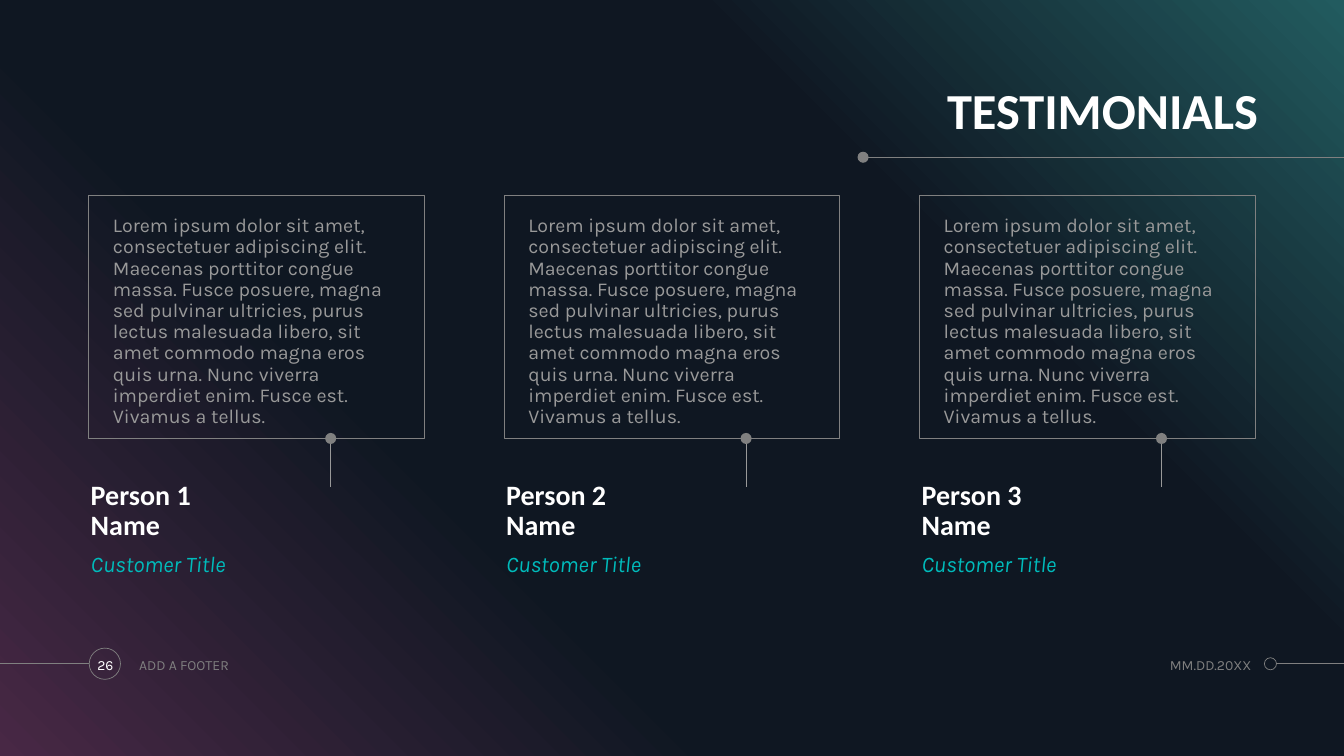
from copy import deepcopy
from dataclasses import dataclass

from pptx import Presentation
from pptx.dml.color import RGBColor
from pptx.enum.shapes import MSO_CONNECTOR, MSO_SHAPE
from pptx.enum.text import MSO_ANCHOR, MSO_AUTO_SIZE, PP_ALIGN
from pptx.oxml.ns import qn
from pptx.util import Inches, Pt
from lxml.etree import SubElement


@dataclass(frozen=True)
class Theme:
    white: str = "FFFFFF"
    gray: str = "808080"
    quote_gray: str = "999999"
    teal: str = "00BBBB"
    gradient: tuple = ((0, "482845"), (34, "0F1722"), (69, "0F1722"), (100, "225B5F"))
    heading_font: str = "Calibri"
    body_font: str = "Karla"
    title_size: int = 36
    name_size: int = 20
    role_size: int = 16
    quote_size: int = 14
    footer_size: int = 10
    thin: float = 0.5
    frame: float = 0.75


THEME = Theme()
WIDTH, HEIGHT = 13.33, 7.5
QUOTE = (
    "Lorem ipsum dolor sit amet, consectetuer adipiscing elit. Maecenas porttitor "
    "congue massa. Fusce posuere, magna sed pulvinar ultricies, purus lectus malesuada "
    "libero, sit amet commodo magna eros quis urna. Nunc viverra imperdiet enim. "
    "Fusce est. Vivamus a tellus."
)
PEOPLE = ["Person 1\nName", "Person 2\nName", "Person 3\nName"]


def write_text(shape, text, *, size, color, font=THEME.body_font, bold=False, italic=False,
               align=PP_ALIGN.LEFT, anchor=MSO_ANCHOR.TOP, spacing=1.0, insets=(0, 0)):
    frame = shape.text_frame
    frame.word_wrap = True
    frame.auto_size = MSO_AUTO_SIZE.NONE
    frame.vertical_anchor = anchor
    frame.margin_left = frame.margin_right = Inches(insets[0])
    frame.margin_top = frame.margin_bottom = Inches(insets[1])
    para = frame.paragraphs[0]
    para.text = text
    para.alignment = align
    para.line_spacing = spacing
    for span in para.runs:
        span.font.name = font
        span.font.size = Pt(size)
        span.font.bold = bold
        span.font.italic = italic
        span.font.color.rgb = RGBColor.from_string(color)


def add_text(page, box, text, **style):
    shape = page.shapes.add_textbox(*map(Inches, box))
    write_text(shape, text, **style)


def add_shape(page, kind, box, fill=None, line=None, weight=THEME.thin):
    shape = page.shapes.add_shape(kind, *map(Inches, box))
    shape.shadow.inherit = False
    if fill:
        shape.fill.solid()
        shape.fill.fore_color.rgb = RGBColor.from_string(fill)
    else:
        shape.fill.background()
    if line:
        shape.line.color.rgb = RGBColor.from_string(line)
        shape.line.width = Pt(weight)
    else:
        shape.line.fill.background()
    return shape


def add_circle(page, center_x, center_y, size, **style):
    box = (center_x - size / 2, center_y - size / 2, size, size)
    return add_shape(page, MSO_SHAPE.OVAL, box, **style)


def add_line(page, start, end, color=THEME.gray):
    line = page.shapes.add_connector(MSO_CONNECTOR.STRAIGHT, *map(Inches, start + end))
    line.line.color.rgb = RGBColor.from_string(color)
    line.line.width = Pt(THEME.thin)
    SubElement(line._element.spPr, qn("a:effectLst"))


def add_backdrop(page, box):
    backdrop = add_shape(page, MSO_SHAPE.RECTANGLE, box)
    backdrop.fill.gradient()
    backdrop.fill.gradient_angle = 45
    # Extend the default two gradient stops to the theme's four
    stops = backdrop._element.spPr.find(qn("a:gradFill")).find(qn("a:gsLst"))
    for _ in THEME.gradient[2:]:
        stops.append(deepcopy(stops[0]))
    for stop, (position, color) in zip(backdrop.fill.gradient_stops, THEME.gradient):
        stop.position = position / 100
        stop.color.rgb = RGBColor.from_string(color)


def add_title(page, box, text):
    left, top, width, height = box
    title = page.shapes.title
    title.left, title.top, title.width, title.height = map(Inches, box)
    write_text(title, text, size=THEME.title_size, color=THEME.white, font=THEME.heading_font,
               bold=True, align=PP_ALIGN.RIGHT, anchor=MSO_ANCHOR.BOTTOM, spacing=0.9)
    # Rule running off the right edge
    rule_x, rule_y = left + 2.98, top + height + 0.17
    add_line(page, (rule_x, rule_y), (WIDTH, rule_y))
    add_circle(page, rule_x, rule_y, 0.11, fill=THEME.gray)


def add_testimonial(page, box, name, role, quote):
    left, top, width, height = box
    # Quote frame
    frame = add_shape(page, MSO_SHAPE.RECTANGLE, (left, top, width, 2.41),
                      line=THEME.gray, weight=THEME.frame)
    write_text(frame, quote, size=THEME.quote_size, color=THEME.quote_gray,
               spacing=0.9, insets=(0.24, 0.2))
    # Pointer below the frame
    pointer_x, pointer_y = left + 2.4, top + 2.41
    add_line(page, (pointer_x, pointer_y), (pointer_x, pointer_y + 0.48), THEME.quote_gray)
    add_circle(page, pointer_x, pointer_y, 0.11, fill=THEME.gray)
    # Name and role
    add_text(page, (left + 0.02, top + 2.64, 1.78, 0.79), name, size=THEME.name_size,
             color=THEME.white, font=THEME.heading_font, bold=True,
             anchor=MSO_ANCHOR.BOTTOM, spacing=0.9)
    add_text(page, (left + 0.02, top + 3.52, 1.78, 0.36), role, size=THEME.role_size,
             color=THEME.teal, italic=True)


def add_footer(page, box, number, footer, date):
    left, top, width, height = box
    middle = top + 0.155
    style = {"size": THEME.footer_size, "anchor": MSO_ANCHOR.MIDDLE}
    # Page number in a ring
    add_line(page, (left, middle), (left + 0.88, middle))
    add_circle(page, left + 1.04, middle, 0.31, line=THEME.gray)
    add_text(page, (left + 0.85, top, 0.39, height), number,
             color=THEME.white, align=PP_ALIGN.CENTER, **style)
    add_text(page, (left + 1.38, top, 3, height), footer, color=THEME.gray, **style)
    # Date and right-hand line
    right = left + width
    add_text(page, (right - 2.38, top, 1.46, height), date,
             color=THEME.gray, align=PP_ALIGN.RIGHT, **style)
    add_circle(page, right - 0.73, middle, 0.12, line=THEME.gray)
    add_line(page, (right - 0.67, middle), (right, middle))


def build_testimonials(deck):
    page = deck.slides.add_slide(deck.slide_layouts[5])
    add_backdrop(page, (0, 0, WIDTH, HEIGHT))
    # Keep the title in front of the backdrop
    page.shapes._spTree.append(page.shapes.title._element)
    add_title(page, (5.58, 0.77, 6.9, 0.62), "TESTIMONIALS")
    for column, name in enumerate(PEOPLE):
        box = (0.88 + column * 4.12, 1.94, 3.33, 3.88)
        add_testimonial(page, box, name, "Customer Title", QUOTE)
    add_footer(page, (0, 6.43, WIDTH, 0.33), "26", "ADD A FOOTER", "MM.DD.20XX")


def main():
    deck = Presentation()
    deck.slide_width, deck.slide_height = Inches(WIDTH), Inches(HEIGHT)
    build_testimonials(deck)
    deck.save("out.pptx")


if __name__ == "__main__":
    main()
